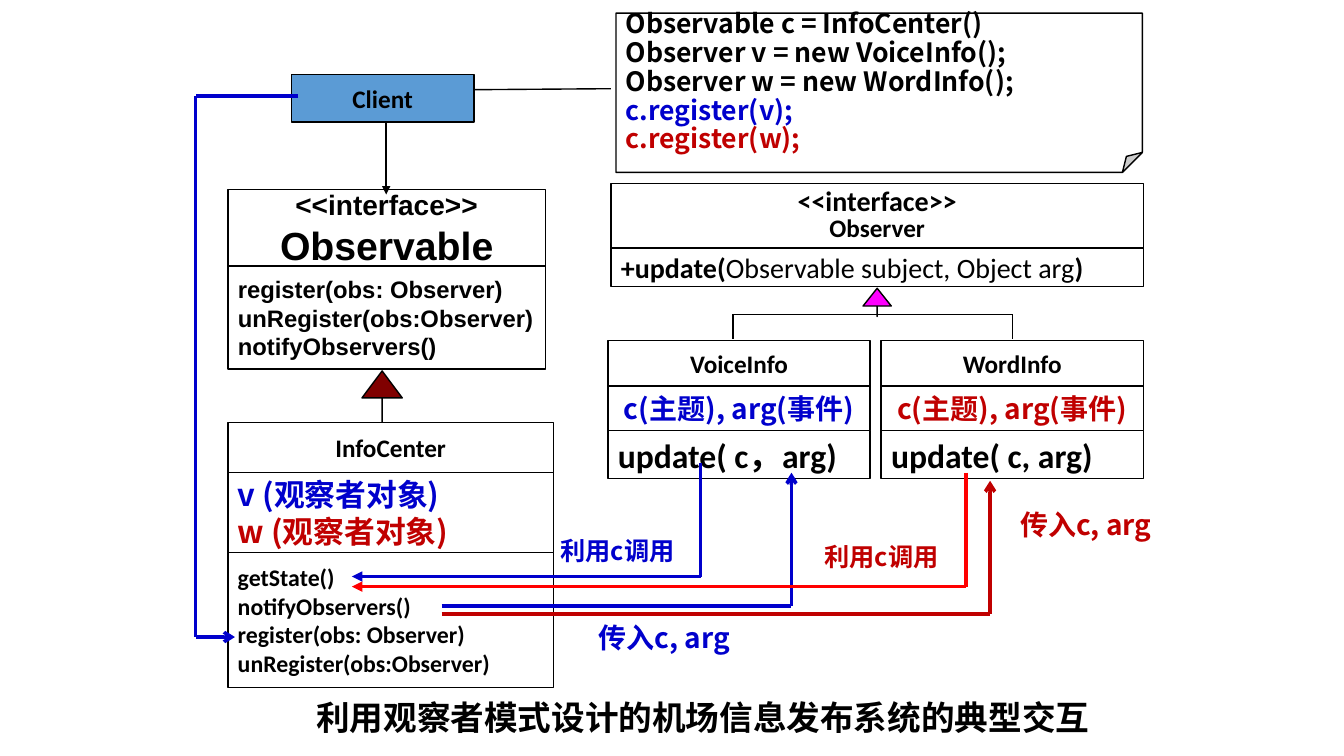
from lxml import etree
from pptx import Presentation
from pptx.dml.color import RGBColor
from pptx.enum.shapes import MSO_CONNECTOR, MSO_SHAPE
from pptx.enum.text import MSO_ANCHOR, MSO_AUTO_SIZE, PP_ALIGN
from pptx.oxml.ns import qn
from pptx.util import Emu, Pt

PX = 9144  # one hundred px to the inch
LEFT, CENTER = PP_ALIGN.LEFT, PP_ALIGN.CENTER
MIDDLE, TOP = MSO_ANCHOR.MIDDLE, MSO_ANCHOR.TOP
GROW, FIXED = MSO_AUTO_SIZE.SHAPE_TO_FIT_TEXT, MSO_AUTO_SIZE.NONE
RECTANGLE, FOLDED = MSO_SHAPE.RECTANGLE, MSO_SHAPE.FOLDED_CORNER
UP_ARROW, STRAIGHT = MSO_SHAPE.UP_ARROW, MSO_CONNECTOR.STRAIGHT

SANS, CALIBRI, ARIAL = "Noto Sans CJK SC", "Calibri", "Arial"
BLACK, WHITE, BLUE, CRIMSON, RED = "000000", "FFFFFF", "0000CC", "C00000", "FF0000"
CLIENT_BLUE, MAROON, MAGENTA = "5B9BD5", "800000", "FF00FF"


def px(*lengths):
    return [Emu(length * PX) for length in lengths]


def rgb(color):
    return RGBColor.from_string(color)


def span(text, **changes):
    """A piece of a paragraph with its own size, color or bold."""
    return text, changes


def format_span(run, size, font, color, bold):
    run.font.size, run.font.bold, run.font.name = Pt(size), bold, font
    run.font.color.rgb = rgb(color)
    etree.SubElement(run.font._element, qn("a:ea"), typeface=SANS)


def write(frame, paras, size=18, font=CALIBRI, color=BLACK, bold=True, align=LEFT,
          spacing=None, inset=(10, 5), wrap=False, anchor=MIDDLE, fit=FIXED):
    """Fill a frame; each paragraph is a string or a list of spans."""
    frame.auto_size, frame.word_wrap, frame.vertical_anchor = fit, wrap, anchor
    frame.margin_left, frame.margin_top = px(*inset)
    frame.margin_right, frame.margin_bottom = px(*inset)
    base = {"size": size, "font": font, "color": color, "bold": bold}
    for index, spans in enumerate(paras):
        para = frame.add_paragraph() if index else frame.paragraphs[0]
        para.alignment = align
        if spacing:
            para.line_spacing = spacing
        for text, changes in [span(spans)] if isinstance(spans, str) else spans:
            run = para.add_run()
            run.text = text
            format_span(run, **{**base, **changes})


def add_box(page, box, kind=RECTANGLE, fill=WHITE):
    shape = page.shapes.add_shape(kind, *px(*box))
    shape.shadow.inherit = False
    shape.fill.solid()
    shape.fill.fore_color.rgb = rgb(fill)
    shape.line.color.rgb = rgb(BLACK)
    shape.line.width = Pt(1)
    return shape


def add_triangle(page, box, fill, head):
    """An inheritance arrow with a stem of no width."""
    arrow = add_box(page, box, UP_ARROW, fill)
    arrow.adjustments[0], arrow.adjustments[1] = 0, head


def add_class(page, left, top, width, rows):
    """Stack the compartments of a class; each row is height, paragraphs, format."""
    for height, paras, style in rows:
        write(add_box(page, (left, top, width, height)).text_frame, paras, **style)
        top += height


def add_route(page, points, color=BLACK, width=1, head=None):
    """Join the points with lines; the last one may carry an arrowhead."""
    for start, end in zip(points, points[1:]):
        line = page.shapes.add_connector(STRAIGHT, *px(*start, *end))
        line.line.color.rgb = rgb(color)
        line.line.width = Pt(width)
        etree.SubElement(line._element.spPr, qn("a:effectLst"))
    if head:
        etree.SubElement(line.line._get_or_add_ln(), qn("a:tailEnd"), type=head)


def add_label(page, box, text, **style):
    frame = page.shapes.add_textbox(*px(*box)).text_frame
    write(frame, [text], font=SANS, wrap=True, anchor=TOP, fit=GROW, **style)


def add_caption(page, box, text):
    title = page.shapes.title
    title.left, title.top, title.width, title.height = px(*box)
    write(title.text_frame, [text], size=24, font=SANS, align=CENTER, wrap=True, anchor=TOP)


def add_client(page, box):
    left, top, width, height = box
    client = add_box(page, box, fill=CLIENT_BLUE)
    write(client.text_frame, ["Client"], align=CENTER)
    add_route(page, [(left + width, top + 15), (606, top + 14)])
    add_route(page, [(383, top + height), (383, 193)], head="triangle")


def add_code_note(page, box):
    note = add_box(page, box, FOLDED)
    guides = note._element.spPr.find(qn("a:prstGeom")).get_or_add_avLst()
    etree.SubElement(guides, qn("a:gd"), name="adj", fmla="val 12500")
    write(note.text_frame, [
        "Observable c = InfoCenter()",
        "Observer v = new VoiceInfo();",
        "Observer w = new WordInfo();",
        [span("c.register(v);", color=BLUE)],
        [span("c.register(w);", color=CRIMSON)],
    ], size=19, font=SANS, spacing=0.9)


def add_subject_side(page, left, top):
    """Observable above the InfoCenter that implements it."""
    add_triangle(page, (left + 133, top + 180, 40, 62), MAROON, 0.67)
    add_class(page, left, top, 315, [
        (76, ["<<interface>>", [span("Observable", size=28)]],
         {"size": 20, "font": ARIAL, "align": CENTER}),
        (102, ["register(obs: Observer)", "unRegister(obs:Observer)", "notifyObservers()"],
         {"size": 17, "font": ARIAL}),
    ])
    add_class(page, left, top + 231, 323, [
        (50, ["InfoCenter"], {"align": CENTER}),
        (79, ["v (观察者对象)", [span("w (观察者对象)", color=CRIMSON)]],
         {"size": 22, "font": SANS, "color": BLUE}),
        (134, ["getState()", "notifyObservers()", "register(obs: Observer)",
               "unRegister(obs:Observer)"], {"size": 17}),
    ])


def add_observer_side(page, left, top):
    """Observer above the two classes that implement it."""
    add_class(page, left + 3, top, 528, [
        (64, ["<<interface>>", [span("Observer", size=18)]],
         {"size": 20, "align": CENTER, "spacing": 0.85, "inset": (10, 0), "wrap": True}),
        (38, [[span("+update("), span("Observable subject, Object arg", bold=False), span(")")]],
         {"size": 20}),
    ])
    add_triangle(page, (left + 253, top + 104, 28, 28), MAGENTA, 0.63)
    fork = top + 130
    add_route(page, [(left + 124, fork + 24), (left + 124, fork),
                     (left + 401, fork), (left + 401, fork + 24)])
    middle = {"align": CENTER, "inset": (0, 0)}
    for offset, name, call, color in ((0, "VoiceInfo", "update( c，arg)", BLUE),
                                      (271, "WordInfo", "update( c, arg)", CRIMSON)):
        add_class(page, left + offset, top + 156, 260, [
            (45, [name], middle),
            (44, ["c(主题), arg(事件)"], {"size": 20, "font": SANS, "color": color, **middle}),
            (48, [call], {"size": 24}),
        ])


def add_interactions(page):
    """Colored call routes between the classes, with their labels."""
    routes = [
        ([(296, 95), (194, 95), (194, 632), (233, 632)], BLUE, "arrow"),
        ([(695, 459), (695, 572), (349, 572)], BLUE, "triangle"),
        ([(438, 601), (785, 601), (785, 469)], BLUE, "arrow"),
        ([(438, 609), (982, 609), (982, 477)], CRIMSON, "arrow"),
        ([(958, 469), (958, 582), (349, 582)], RED, "triangle"),
    ]
    for points, color, head in routes:
        add_route(page, points, color, 2.5, head)
    for left, top, color in ((546, 526, BLUE), (808, 532, CRIMSON)):
        add_label(page, (left, top, 150, 40), "利用c调用", color=color)
    for left, top, width, color in ((564, 611, 189, BLUE), (987, 499, 180, CRIMSON)):
        add_label(page, (left, top, width, 44), "传入c, arg", size=20, color=color, align=CENTER)


def main():
    deck = Presentation()
    deck.slide_width, deck.slide_height = px(1333, 750)
    page = deck.slides.add_slide(deck.slide_layouts[5])
    add_caption(page, (255, 686, 884, 51), "利用观察者模式设计的机场信息发布系统的典型交互")
    add_code_note(page, (611, 13, 522, 158))
    add_subject_side(page, 226, 188)
    add_observer_side(page, 603, 182)
    add_client(page, (289, 74, 181, 47))
    add_interactions(page)
    deck.save("out.pptx")


if __name__ == "__main__":
    main()
